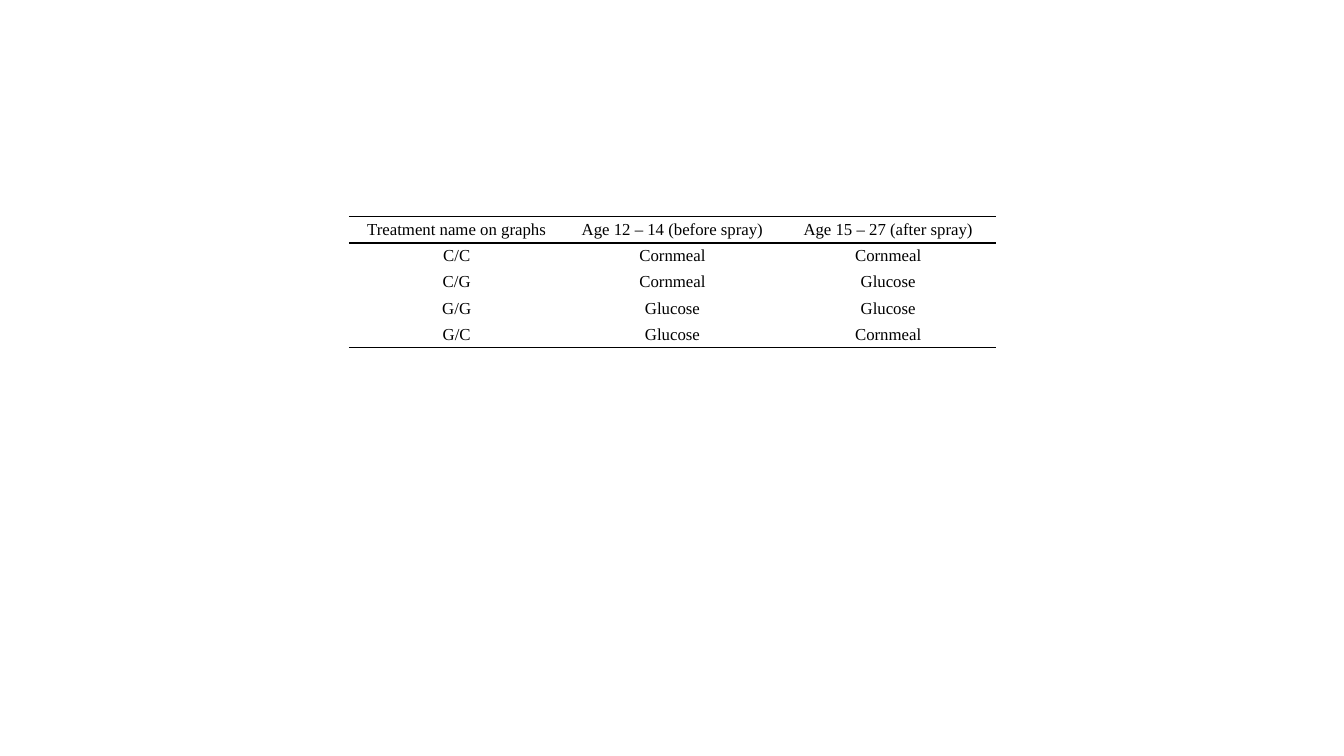
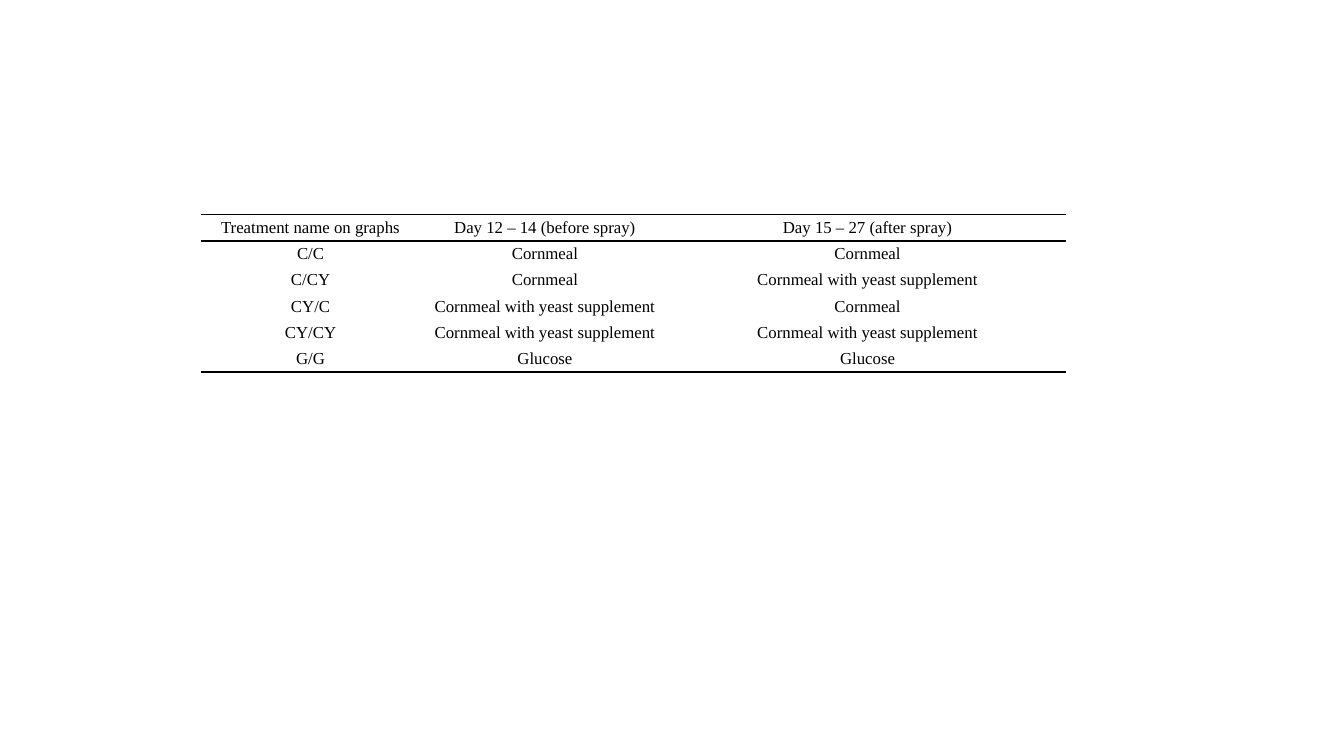
from dataclasses import dataclass

from lxml import etree
from pptx import Presentation
from pptx.dml.color import RGBColor
from pptx.enum.text import MSO_ANCHOR, PP_ALIGN
from pptx.oxml.ns import qn
from pptx.util import Inches, Pt

CENTER = PP_ALIGN.CENTER
TOP, BOTTOM = MSO_ANCHOR.TOP, MSO_ANCHOR.BOTTOM
BLANK_LAYOUT = 6


@dataclass(frozen=True)
class Theme:
    font: str = "Times New Roman"
    size: int = 12
    ink: str = "000000"
    rule_width: int = 1
    side_margin: float = 5.4
    edge_margin: float = 2.7


THEME = Theme()
ROW_HEIGHT = 0.18  # minimum; rows grow to fit their text
ROW_SPACE = 0.28  # height reserved for each row in the frame

AGE_ROWS = [
    ("Treatment name on graphs", "Age 12 – 14 (before spray)", "Age 15 – 27 (after spray)"),
    ("C/C", "Cornmeal", "Cornmeal"),
    ("C/G", "Cornmeal", "Glucose"),
    ("G/G", "Glucose", "Glucose"),
    ("G/C", "Glucose", "Cornmeal"),
]
YEAST = "Cornmeal with yeast supplement"
DAY_ROWS = [
    ("Treatment name on graphs", "Day 12 – 14 (before spray)", "Day 15 – 27 (after spray)"),
    ("C/C", "Cornmeal", "Cornmeal"),
    ("C/CY", "Cornmeal", YEAST),
    ("CY/C", YEAST, "Cornmeal"),
    ("CY/CY", YEAST, YEAST),
    ("G/G", "Glucose", "Glucose"),
]


def set_borders(cell, ruled_sides):
    """Rule the named sides and clear the others."""
    properties = cell._tc.get_or_add_tcPr()
    for position, side in enumerate("LRTB"):
        line = etree.Element(qn(f"a:ln{side}"))
        if side in ruled_sides:
            line.set("w", str(Pt(THEME.rule_width)))
            fill = etree.SubElement(line, qn("a:solidFill"))
            etree.SubElement(fill, qn("a:srgbClr"), val=THEME.ink)
        else:
            etree.SubElement(line, qn("a:noFill"))
        properties.insert(position, line)


def format_cell(cell, text, anchor, ruled_sides):
    cell.margin_left = cell.margin_right = Pt(THEME.side_margin)
    cell.margin_top = cell.margin_bottom = Pt(THEME.edge_margin)
    cell.vertical_anchor = anchor
    cell.fill.background()
    set_borders(cell, ruled_sides)

    cell.text_frame.text = text
    paragraph = cell.text_frame.paragraphs[0]
    paragraph.alignment = CENTER
    font = paragraph.runs[0].font
    font.name = THEME.font
    font.size = Pt(THEME.size)
    font.color.rgb = RGBColor.from_string(THEME.ink)


def sides_for_row(index, row_count):
    """Rules frame the header and close the last row."""
    if index == 0:
        return "TB"
    if index == 1:
        return "T"
    return "B" if index == row_count - 1 else ""


def add_treatment_slide(presentation, left, top, column_widths, rows):
    slide = presentation.slides.add_slide(presentation.slide_layouts[BLANK_LAYOUT])
    frame_height = Inches(ROW_SPACE * len(rows))
    shape = slide.shapes.add_table(
        len(rows), len(column_widths), Inches(left), Inches(top),
        Inches(sum(column_widths)), frame_height)
    table = shape.table
    table.first_row = table.horz_banding = False

    # Column and row sizes
    for column, width in zip(table.columns, column_widths):
        column.width = Inches(width)
    for row in table.rows:
        row.height = Inches(ROW_HEIGHT)
    shape.height = frame_height

    # Cell contents and rules
    for row_index, texts in enumerate(rows):
        ruled_sides = sides_for_row(row_index, len(rows))
        for column_index, text in enumerate(texts):
            anchor = BOTTOM if column_index else TOP
            format_cell(table.cell(row_index, column_index), text, anchor, ruled_sides)


def main():
    presentation = Presentation()
    presentation.slide_width = Inches(13.33)
    presentation.slide_height = Inches(7.5)
    add_treatment_slide(presentation, 3.46, 2.15, [2.14] * 3, AGE_ROWS)
    add_treatment_slide(presentation, 1.99, 2.13, [2.18, 2.47, 3.93], DAY_ROWS)
    presentation.save("out.pptx")


if __name__ == "__main__":
    main()
